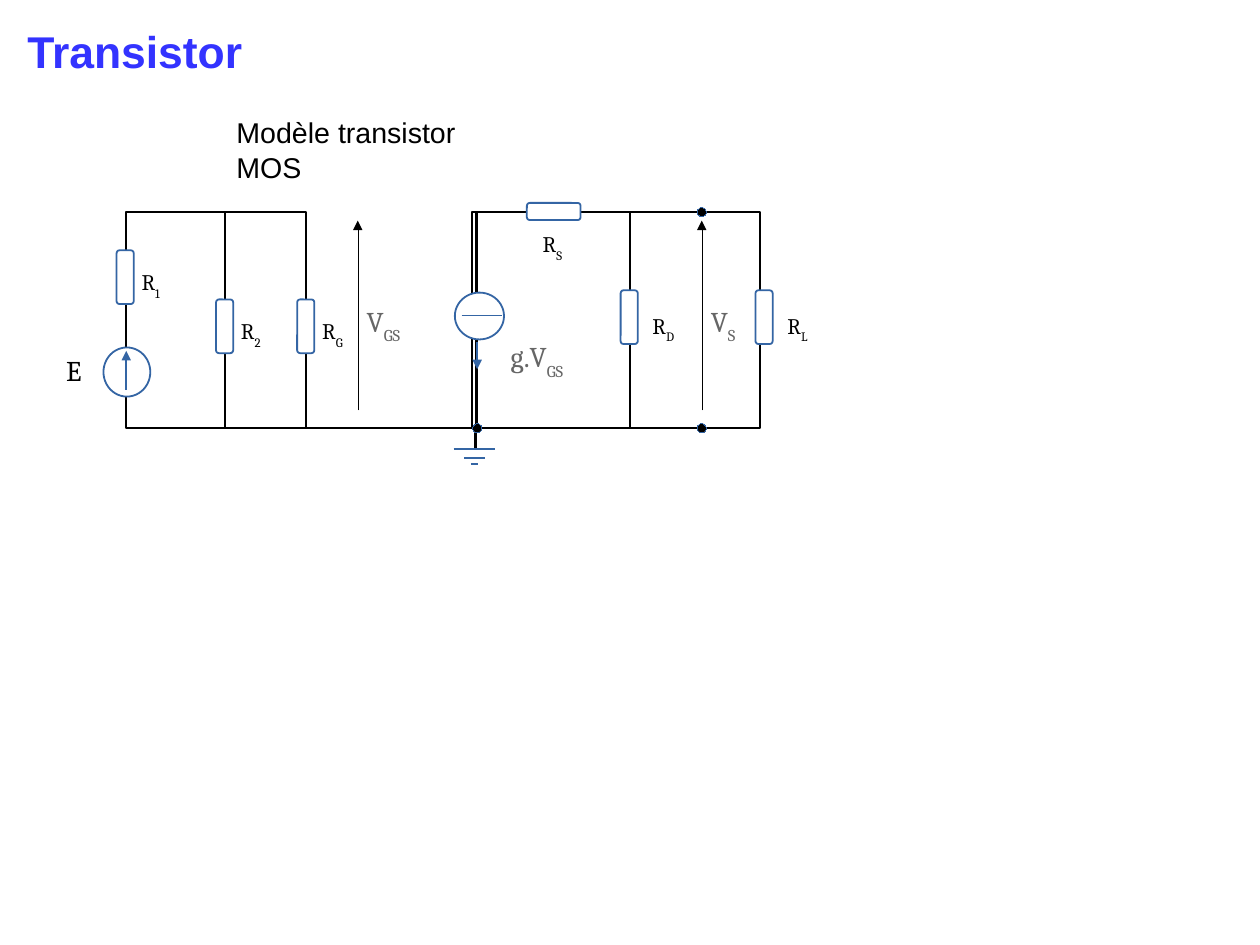
from pptx import Presentation
from pptx.dml.color import RGBColor
from pptx.enum.shapes import MSO_CONNECTOR as Connector, MSO_SHAPE as Shape
from pptx.enum.text import MSO_ANCHOR as Anchor, MSO_AUTO_SIZE as AutoSize, PP_ALIGN as Align
from pptx.oxml.ns import qn
from pptx.util import Cm, Inches, Pt
from lxml.etree import SubElement

BLACK = RGBColor(0, 0, 0)
WHITE = RGBColor(255, 255, 255)
BLUE = RGBColor(0x34, 0x65, 0xA4)
GREY = RGBColor(0x66, 0x66, 0x66)
TITLE_BLUE = RGBColor(0x33, 0x33, 0xFF)

CELL = Inches(0.1)
TOP_RAIL, BOTTOM_RAIL = 18.55, 37.45
GROUND = 41.75
OUTPUT = 61.4
WIRE, SYMBOL, HAIRLINE = 1.42, 1.13, 0.01

SMALL = {"name": "Cambria", "size": Pt(14)}
LARGE = {"name": "Cambria", "size": Pt(18)}
CAPTION = {"name": "Arial", "size": Pt(18)}
HEADING = {"name": "Arial", "size": Pt(28), "bold": True}


def cells(*counts):
    return [round(count * CELL) for count in counts]


def draw_shape(page, kind, place, line_color, weight, fill=None):
    shape = page.shapes.add_shape(kind, *cells(*place))
    shape.shadow.inherit = False
    shape.line.color.rgb = line_color
    shape.line.width = Pt(weight)
    if fill is None:
        shape.fill.background()
    else:
        shape.fill.solid()
        shape.fill.fore_color.rgb = fill
    return shape


def draw_line(page, start, end, color, weight, arrow=False):
    line = page.shapes.add_connector(Connector.STRAIGHT, *cells(*start, *end))
    line.line.color.rgb = color
    line.line.width = Pt(weight)
    if arrow:
        SubElement(line.line._get_or_add_ln(), qn("a:tailEnd"), type="triangle")
    SubElement(line._element.spPr, qn("a:effectLst"))


def write(frame, text, style, color, subscript=""):
    frame.word_wrap = True
    frame.auto_size = AutoSize.NONE
    frame.vertical_anchor = Anchor.TOP
    para = frame.paragraphs[0]
    para.alignment = Align.LEFT
    for words, baseline in ((text, None), (subscript, "-33000")):
        if words:
            span = para.add_run()
            span.text = words
            span.font.color.rgb = color
            for name, value in style.items():
                setattr(span.font, name, value)
            if baseline:
                span._r.get_or_add_rPr().set("baseline", baseline)


def add_label(page, left, top, text, style, color=BLACK, subscript="", width=6.1):
    box = page.shapes.add_textbox(*cells(left, top, width, 4.7))
    write(box.text_frame, text, style, color, subscript)


def add_title(page, text):
    box = page.shapes.title
    places = zip(("left", "top", "width", "height"), cells(1.4, 1.6, 20.8, 5.3))
    for name, value in places:
        setattr(box, name, value)
    write(box.text_frame, text, HEADING, TITLE_BLUE)


def add_resistor(page, left, top, subscript, label_shift, flat=False):
    size = (4.7, 1.5) if flat else (1.5, 4.7)
    body = draw_shape(page, Shape.ROUNDED_RECTANGLE, (left, top, *size), BLUE, SYMBOL, WHITE)
    body.adjustments[0] = 0.17
    across, down = label_shift
    add_label(page, left + across, top + down, "R", SMALL, subscript=subscript)


def add_loop(page, left, right):
    place = (left, TOP_RAIL, right - left, BOTTOM_RAIL - TOP_RAIL)
    draw_shape(page, Shape.RECTANGLE, place, BLACK, WIRE)


def add_node(page, column, row):
    draw_shape(page, Shape.OVAL, (column - 0.4, row - 0.4, 0.8, 0.8), BLUE, HAIRLINE, BLACK)


def add_voltage(page, column, subscript):
    draw_line(page, (column, 35.9), (column, 19.3), BLACK, HAIRLINE, arrow=True)
    add_label(page, column - 0.2, 26.1, "V", LARGE, GREY, subscript)


def add_ground(page):
    center = 41.5
    draw_line(page, (center + 0.1, 37.9), (center + 0.1, 39.25), BLACK, WIRE)
    for row, half in ((39.25, 1.8), (40.05, 0.9), (40.6, 0.3)):
        draw_line(page, (center - half, row), (center + half, row), BLUE, SYMBOL)


def add_sources(page):
    draw_shape(page, Shape.OVAL, (9.05, 30.4, 4.1, 4.3), BLUE, SYMBOL, WHITE)
    draw_line(page, (11.05, 34.1), (11.05, 30.7), BLUE, SYMBOL, arrow=True)
    add_label(page, 4.8, 30.4, "E", LARGE)
    draw_shape(page, Shape.OVAL, (39.8, 25.6, 4.3, 4.1), BLUE, SYMBOL, WHITE)
    draw_line(page, (40.4, 27.6), (43.9, 27.6), BLUE, SYMBOL)
    draw_line(page, (GROUND, 29.9), (GROUND, 32.3), BLUE, SYMBOL, arrow=True)
    add_label(page, 43.7, 29.2, "g.V", LARGE, GREY, "GS", width=8.1)


def main():
    deck = Presentation()
    deck.slide_width = Cm(28)
    deck.slide_height = Cm(21)
    page = deck.slides.add_slide(deck.slide_layouts[5])
    add_title(page, "Transistor")
    add_label(page, 19.7, 9.6, "Modèle transistor MOS", CAPTION, width=27.5)

    for left, right in ((41.7, 55.1), (19.7, 26.8), (41.3, 66.5), (11, 19.7)):
        add_loop(page, left, right)
    draw_line(page, (19.7, BOTTOM_RAIL), (41.7, BOTTOM_RAIL), BLACK, WIRE)

    add_ground(page)
    add_sources(page)
    near, far = (1.2, 1.1), (1.8, 1.4)
    for left, top, subscript, shift in (
        (10.2, 21.9, "1", near),
        (18.9, 26.2, "2", near),
        (26, 26.2, "G", near),
        (54.3, 25.4, "D", far),
        (66.1, 25.4, "L", far),
    ):
        add_resistor(page, left, top, subscript, shift)
    add_resistor(page, 46.1, 17.75, "S", (0.4, 1.95), flat=True)

    for column, row in ((GROUND, BOTTOM_RAIL), (OUTPUT, BOTTOM_RAIL), (OUTPUT, TOP_RAIL)):
        add_node(page, column, row)
    add_voltage(page, 31.3, "GS")
    add_voltage(page, OUTPUT, "S")
    deck.save("out.pptx")


if __name__ == "__main__":
    main()
